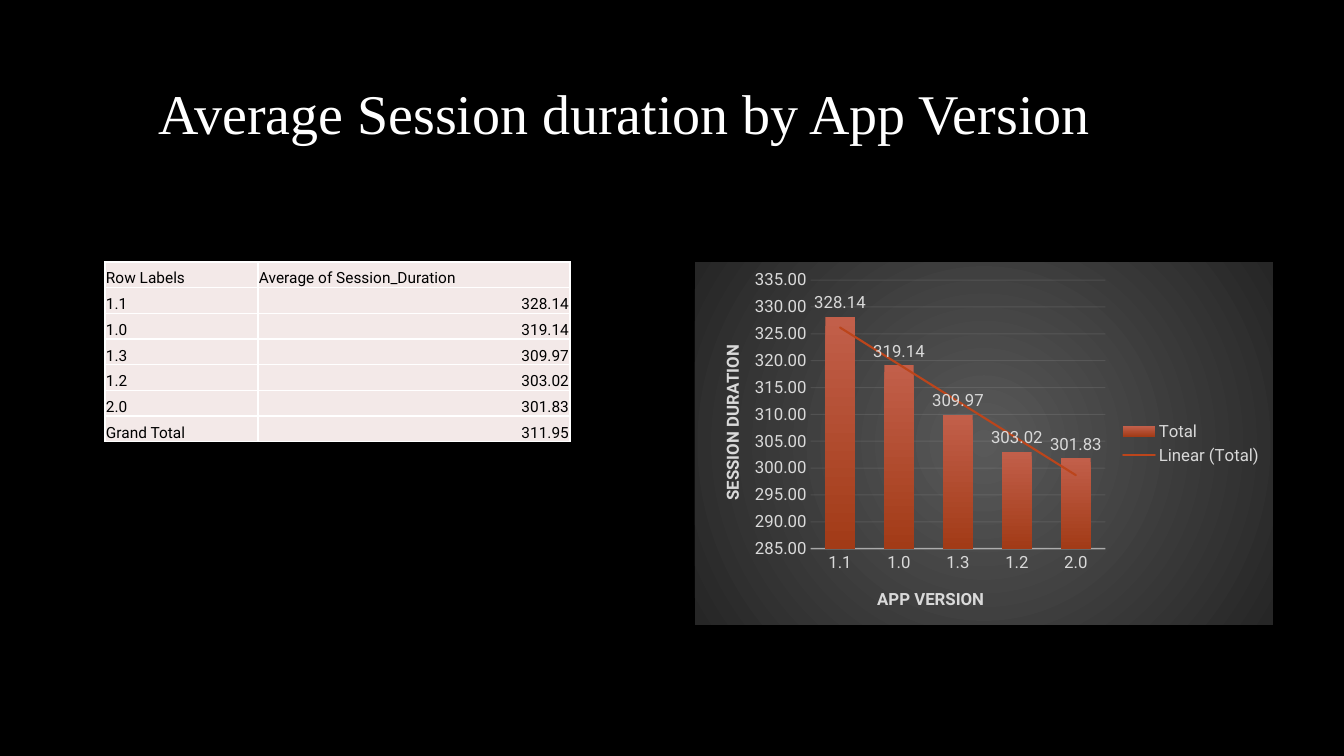
from lxml import etree
from pptx import Presentation
from pptx.chart.data import CategoryChartData
from pptx.dml.color import RGBColor
from pptx.enum import chart as ch, text
from pptx.oxml import ns, parse_xml
from pptx.util import Pt

BLACK = RGBColor(0x00, 0x00, 0x00)
WHITE = RGBColor(0xFF, 0xFF, 0xFF)
PINK = RGBColor(0xF3, 0xE9, 0xE8)
LABEL = RGBColor(0xD9, 0xD9, 0xD9)
LINE = RGBColor(0xF2, 0xF2, 0xF2)
BAR_TOP = RGBColor(0xC2, 0x5F, 0x4A)
BAR_BOTTOM = RGBColor(0xA2, 0x3B, 0x17)
TREND = RGBColor(0xBC, 0x45, 0x1B)
PANEL_IN = RGBColor(0x59, 0x59, 0x59)
PANEL_OUT = RGBColor(0x26, 0x26, 0x26)

NUMBER = "0.00;[Red]0.00"
VERSIONS = [("1.1", 328.14), ("1.0", 319.14), ("1.3", 309.97), ("1.2", 303.02), ("2.0", 301.83)]


def px(n):
    return round(n * 914400 / 100.8)


def style(font, size, color, name="Roboto", bold=False):
    for key, value in dict(size=Pt(size), name=name, bold=bold).items():
        setattr(font, key, value)
    font.color.rgb = color


prs = Presentation()
prs.slide_width, prs.slide_height = px(1344), px(756)
s = prs.slides.add_slide(prs.slide_layouts[5])
s.background.fill.solid()
s.background.fill.fore_color.rgb = BLACK

# Title
title = s.shapes.title
title.left, title.top, title.width, title.height = px(148), px(73), px(1043), px(78)
tf = title.text_frame
tf.vertical_anchor = text.MSO_ANCHOR.TOP
p = tf.paragraphs[0]
p.alignment = text.PP_ALIGN.LEFT
r = p.add_run()
r.text = "Average Session duration by App Version"
style(r.font, 40, WHITE, "Times New Roman")

# Table
rows = [("Row Labels", "Average of Session_Duration")]
rows += [(version, f"{value:.2f}") for version, value in VERSIONS]
rows += [("Grand Total", "311.95")]
table = s.shapes.add_table(len(rows), 2, px(105), px(262), px(465), px(180)).table
table.first_row = table.horz_banding = False
for column, width in zip(table.columns, (153, 312)):
    column.width = px(width)
for i, row in enumerate(rows):
    table.rows[i].height = px(180) // len(rows)
    for j, label in enumerate(row):
        cell = table.cell(i, j)
        cell.margin_left = cell.margin_right = cell.margin_top = px(1)
        cell.margin_bottom = 0
        cell.vertical_anchor = text.MSO_ANCHOR.BOTTOM
        cell.fill.solid()
        cell.fill.fore_color.rgb = PINK
        p = cell.text_frame.paragraphs[0]
        p.alignment = text.PP_ALIGN.RIGHT if i and j else text.PP_ALIGN.LEFT
        r = p.add_run()
        r.text = label
        style(r.font, 11, BLACK)
        tcPr = cell._tc.get_or_add_tcPr()
        for k, side in enumerate("LRTB"):
            tcPr.insert(k, parse_xml(
                f'<a:ln{side} {ns.nsdecls("a")} w="{Pt(1)}"><a:solidFill>'
                f'<a:srgbClr val="{WHITE}"/></a:solidFill></a:ln{side}>'))

# Chart
data = CategoryChartData(number_format=NUMBER)
data.categories = [version for version, value in VERSIONS]
data.add_series("Total", [value for version, value in VERSIONS])
chart = s.shapes.add_chart(ch.XL_CHART_TYPE.COLUMN_CLUSTERED, px(695), px(262),
                           px(578), px(363), data).chart
style(chart.font, 10, WHITE)
chart.has_title = False
chart.has_legend = True
chart.legend.position = ch.XL_LEGEND_POSITION.RIGHT
chart.legend.include_in_layout = False
style(chart.legend.font, 12, LABEL)

plot = chart.plots[0]
plot.gap_width, plot.overlap, plot.vary_by_categories = 100, -24, False
plot.has_data_labels = True
labels = plot.series[0].data_labels
for key, value in dict(show_value=True, position=ch.XL_LABEL_POSITION.OUTSIDE_END,
                       number_format=NUMBER, number_format_is_linked=False).items():
    setattr(labels, key, value)
style(labels.font, 12, LABEL)
fill = plot.series[0].format.fill
fill.gradient()
fill.gradient_angle = 270
for stop, color in zip(fill.gradient_stops, (BAR_TOP, BAR_BOTTOM)):
    stop.color.rgb = color

cat_axis, val_axis = chart.category_axis, chart.value_axis
for axis, name in ((cat_axis, "APP VERSION"), (val_axis, "SESSION DURATION")):
    axis.major_tick_mark = axis.minor_tick_mark = ch.XL_TICK_MARK.NONE
    style(axis.tick_labels.font, 12, LABEL)
    tf = axis.axis_title.text_frame
    r = tf.paragraphs[0].add_run()
    r.text = name
    style(r.font, 12, LABEL, bold=True)
tf._txBody.bodyPr.set("rot", "-5400000")
tf._txBody.bodyPr.set("vert", "horz")
for key, value in dict(minimum_scale=285, maximum_scale=335, major_unit=5,
                       has_major_gridlines=True).items():
    setattr(val_axis, key, value)
val_axis.tick_labels.number_format = NUMBER
val_axis.tick_labels.number_format_is_linked = False
val_axis.format.line.fill.background()
for line, width, opacity in ((cat_axis.format.line, 1, 54),
                             (val_axis.major_gridlines.format.line, 0.75, 10)):
    line.width = Pt(width)
    line.color.rgb = LINE
    rgb = line.fill._xPr.find(".//" + ns.qn("a:srgbClr"))
    etree.SubElement(rgb, ns.qn("a:alpha")).set("val", str(opacity * 1000))

# Placement inside the chart, as fractions of its size
plot_area = chart._chartSpace.chart.plotArea
for part, index, places in (
        (plot_area, 0, dict(x=0.2, y=0.05, w=0.51, h=0.74)),
        (cat_axis.axis_title._element, 1, dict(x=0.31, y=0.89)),
        (val_axis.axis_title._element, 1, dict(x=0.04, y=0.22))):
    for old in part.findall(ns.qn("c:layout")):
        part.remove(old)
    target = '<c:layoutTarget val="inner"/>' if part is plot_area else ""
    modes = "".join(f'<c:{key}Mode val="edge"/>' for key in "xy")
    values = "".join(f'<c:{key} val="{value}"/>' for key, value in places.items())
    part.insert(index, parse_xml(
        f'<c:layout {ns.nsdecls("c")}><c:manualLayout>{target}{modes}{values}'
        '</c:manualLayout></c:layout>'))

# Trend line and radial panel
plot.series[0]._element.find(ns.qn("c:cat")).addprevious(parse_xml(
    f'<c:trendline {ns.nsdecls("c", "a")}><c:spPr><a:ln w="{Pt(1.5)}" cap="rnd"><a:solidFill>'
    f'<a:srgbClr val="{TREND}"/></a:solidFill></a:ln></c:spPr>'
    '<c:trendlineType val="linear"/><c:dispRSqr val="0"/><c:dispEq val="0"/></c:trendline>'))
chart._chartSpace.chart.addnext(parse_xml(
    f'<c:spPr {ns.nsdecls("c", "a")}><a:gradFill><a:gsLst>'
    f'<a:gs pos="0"><a:srgbClr val="{PANEL_IN}"/></a:gs>'
    f'<a:gs pos="100000"><a:srgbClr val="{PANEL_OUT}"/></a:gs></a:gsLst>'
    '<a:path path="circle"><a:fillToRect l="50000" t="50000" r="50000" b="50000"/></a:path>'
    '</a:gradFill><a:ln><a:noFill/></a:ln></c:spPr>'))

prs.save("out.pptx")
